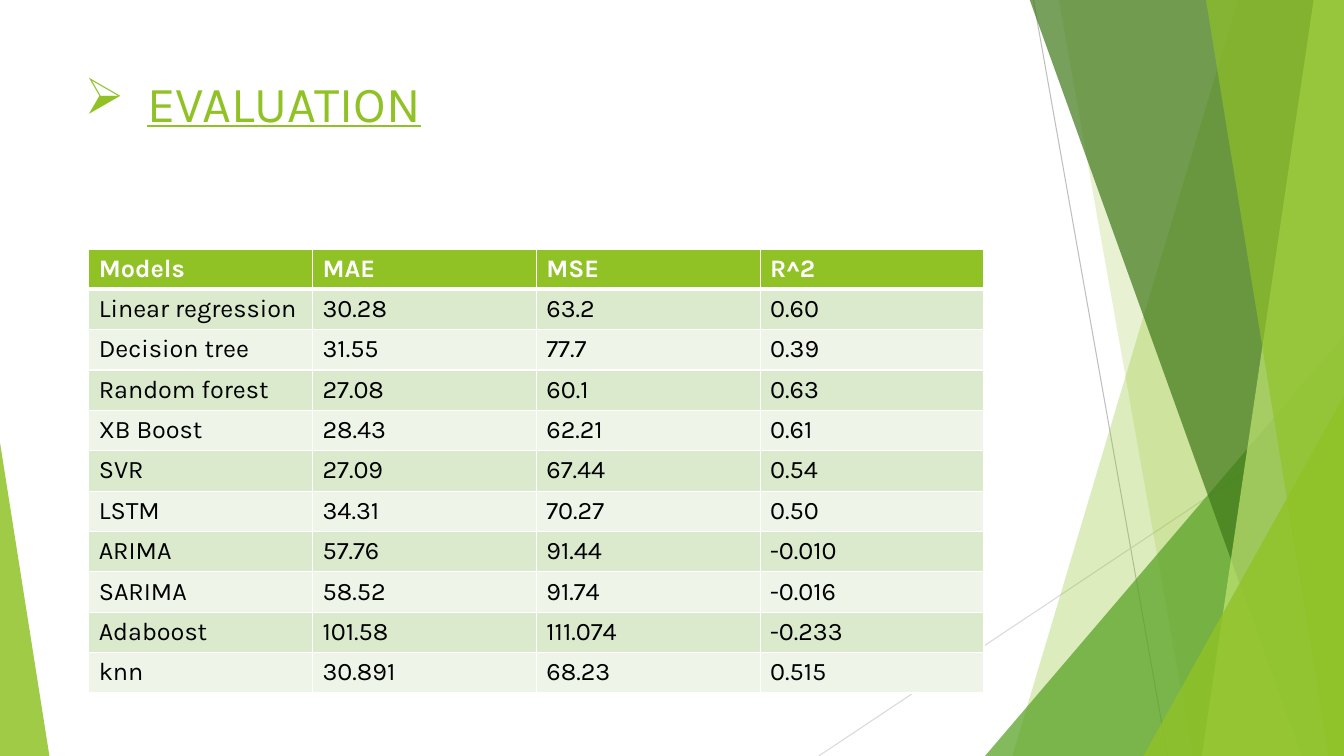
"""Build the model evaluation slide with its table and faceted green border."""
from dataclasses import dataclass

from lxml.etree import SubElement
from pptx import Presentation
from pptx.dml.color import RGBColor
from pptx.enum.shapes import MSO_CONNECTOR, MSO_SHAPE
from pptx.enum.text import MSO_ANCHOR
from pptx.oxml.ns import qn
from pptx.shapes.autoshape import Shape
from pptx.slide import Slide
from pptx.table import _Cell
from pptx.text.text import _Paragraph
from pptx.util import Inches, Pt

GREEN = RGBColor(0x90, 0xC2, 0x26)
MID_GREEN = RGBColor(0x54, 0xA0, 0x21)
DARK_GREEN = RGBColor(0x3F, 0x78, 0x19)
LIGHT_GREEN = RGBColor(0xC0, 0xE4, 0x74)
ODD_ROW = RGBColor(0xDB, 0xE9, 0xCD)
EVEN_ROW = RGBColor(0xEE, 0xF4, 0xE8)
GREY = RGBColor(0xBF, 0xBF, 0xBF)
PALE_GREY = RGBColor(0xD9, 0xD9, 0xD9)
WHITE = RGBColor(0xFF, 0xFF, 0xFF)
BLACK = RGBColor(0, 0, 0)

FONT = "Karla"
RIGHT, TOP, BOTTOM = 13.33, -0.01, 7.5
COLUMN_WIDTH, ROW_HEIGHT = 2.22, 0.39


@dataclass(frozen=True)
class Ray:
    """A thin line behind the facets."""
    start: tuple[float, float]
    end: tuple[float, float]
    color: RGBColor


@dataclass(frozen=True)
class Band:
    """A facet reaching from a slanted left edge to the right of the slide."""
    top_left: float
    bottom_left: float
    color: RGBColor
    opacity: int


@dataclass(frozen=True)
class Wedge:
    """A right triangle standing on the bottom of the slide."""
    left: float
    top: float
    width: float
    apex: float
    color: RGBColor
    opacity: int


RAYS = (
    Ray((10.25, 0), (11.58, BOTTOM), GREY),
    Ray((RIGHT, 4.03), (8.12, BOTTOM), PALE_GREY),
)
FACETS: tuple[Band | Wedge, ...] = (
    Band(12.28, 10.04, GREEN, 30),
    Band(10.5, 11.83, GREEN, 20),
    Wedge(9.77, 3.33, 3.56, 1, MID_GREEN, 72),
    Band(10.21, 12.91, DARK_GREEN, 70),
    Band(13.03, 11.92, LIGHT_GREEN, 70),
    Band(11.96, 13.18, GREEN, 65),
    Wedge(11.34, 3.93, 1.99, 1, GREEN, 80),
    Wedge(0, 4.39, 0.49, 0, GREEN, 85),
)
SCORES = (
    ("Models", "MAE", "MSE", "R^2"),
    ("Linear regression", "30.28", "63.2", "0.60"),
    ("Decision tree", "31.55", "77.7", "0.39"),
    ("Random forest", "27.08", "60.1", "0.63"),
    ("XB Boost", "28.43", "62.21", "0.61"),
    ("SVR", "27.09", "67.44", "0.54"),
    ("LSTM", "34.31", "70.27", "0.50"),
    ("ARIMA", "57.76", "91.44", "-0.010"),
    ("SARIMA", "58.52", "91.74", "-0.016"),
    ("Adaboost", "101.58", "111.074", "-0.233"),
    ("knn", "30.891", "68.23", "0.515"),
)


def add_ray(slide: Slide, ray: Ray) -> None:
    connector = slide.shapes.add_connector(
        MSO_CONNECTOR.STRAIGHT, *map(Inches, ray.start + ray.end))
    connector.line.color.rgb = ray.color
    connector.line.width = Pt(0.75)
    SubElement(connector._element.spPr, qn("a:effectLst"))


def add_band(slide: Slide, band: Band) -> Shape:
    builder = slide.shapes.build_freeform(Inches(band.top_left), Inches(TOP))
    corners = ((RIGHT, TOP), (RIGHT, BOTTOM), (band.bottom_left, BOTTOM))
    builder.add_line_segments([(Inches(x), Inches(y)) for x, y in corners])
    return builder.convert_to_shape()


def add_wedge(slide: Slide, wedge: Wedge) -> Shape:
    shape = slide.shapes.add_shape(
        MSO_SHAPE.ISOSCELES_TRIANGLE, Inches(wedge.left), Inches(wedge.top),
        Inches(wedge.width), Inches(BOTTOM - wedge.top))
    shape.adjustments[0] = wedge.apex
    return shape


def add_facet(slide: Slide, facet: Band | Wedge) -> None:
    if isinstance(facet, Band):
        shape = add_band(slide, facet)
    else:
        shape = add_wedge(slide, facet)
    shape.shadow.inherit = False
    shape.line.fill.background()
    shape.fill.solid()
    shape.fill.fore_color.rgb = facet.color
    color = shape._element.spPr.find(qn("a:solidFill"))[0]
    SubElement(color, qn("a:alpha"), val=str(facet.opacity * 1000))


def add_run(paragraph: _Paragraph, text: str, size: int, color: RGBColor,
            bold: bool = False, underline: bool = False) -> None:
    run = paragraph.add_run()
    run.text = text
    run.font.name = FONT
    run.font.size = Pt(size)
    run.font.color.rgb = color
    run.font.bold = bold
    run.font.underline = underline


def add_title(slide: Slide, text: str) -> None:
    box = slide.shapes.add_textbox(
        Inches(0.74), Inches(0.67), Inches(9.4), Inches(1.44))
    box.text_frame.word_wrap = True
    box.text_frame.vertical_anchor = MSO_ANCHOR.TOP
    paragraph = box.text_frame.paragraphs[0]
    properties = paragraph._p.get_or_add_pPr()
    properties.set("marL", str(Inches(0.62)))
    properties.set("indent", str(-Inches(0.62)))
    SubElement(properties, qn("a:buChar"), char="➢")
    add_run(paragraph, text, 36, GREEN, underline=True)


def set_borders(cell: _Cell, top: int, bottom: int) -> None:
    properties = cell._tc.get_or_add_tcPr()
    for side, points in (("L", 1), ("R", 1), ("T", top), ("B", bottom)):
        line = SubElement(properties, qn(f"a:ln{side}"), w=str(Pt(points)))
        fill = SubElement(line, qn("a:solidFill"))
        SubElement(fill, qn("a:srgbClr"), val=str(WHITE))


def add_score_table(slide: Slide) -> None:
    row_count, column_count = len(SCORES), len(SCORES[0])
    table = slide.shapes.add_table(
        row_count, column_count, Inches(0.88), Inches(2.47),
        Inches(COLUMN_WIDTH * column_count),
        Inches(ROW_HEIGHT * row_count)).table
    for column in table.columns:
        column.width = Inches(COLUMN_WIDTH)
    for row_index, values in enumerate(SCORES):
        table.rows[row_index].height = Inches(ROW_HEIGHT)
        header = row_index == 0
        row_color = GREEN if header else ODD_ROW if row_index % 2 else EVEN_ROW
        for column_index, value in enumerate(values):
            cell = table.cell(row_index, column_index)
            set_borders(cell, 3 if row_index == 1 else 1, 3 if header else 1)
            cell.fill.solid()
            cell.fill.fore_color.rgb = row_color
            add_run(cell.text_frame.paragraphs[0], value, 18,
                    WHITE if header else BLACK, bold=header)


def main() -> None:
    presentation = Presentation()
    presentation.slide_width = Inches(RIGHT)
    presentation.slide_height = Inches(BOTTOM)
    slide = presentation.slides.add_slide(presentation.slide_layouts[6])
    for ray in RAYS:
        add_ray(slide, ray)
    for facet in FACETS:
        add_facet(slide, facet)
    add_title(slide, "EVALUATION")
    add_score_table(slide)
    presentation.save("out.pptx")


if __name__ == "__main__":
    main()
